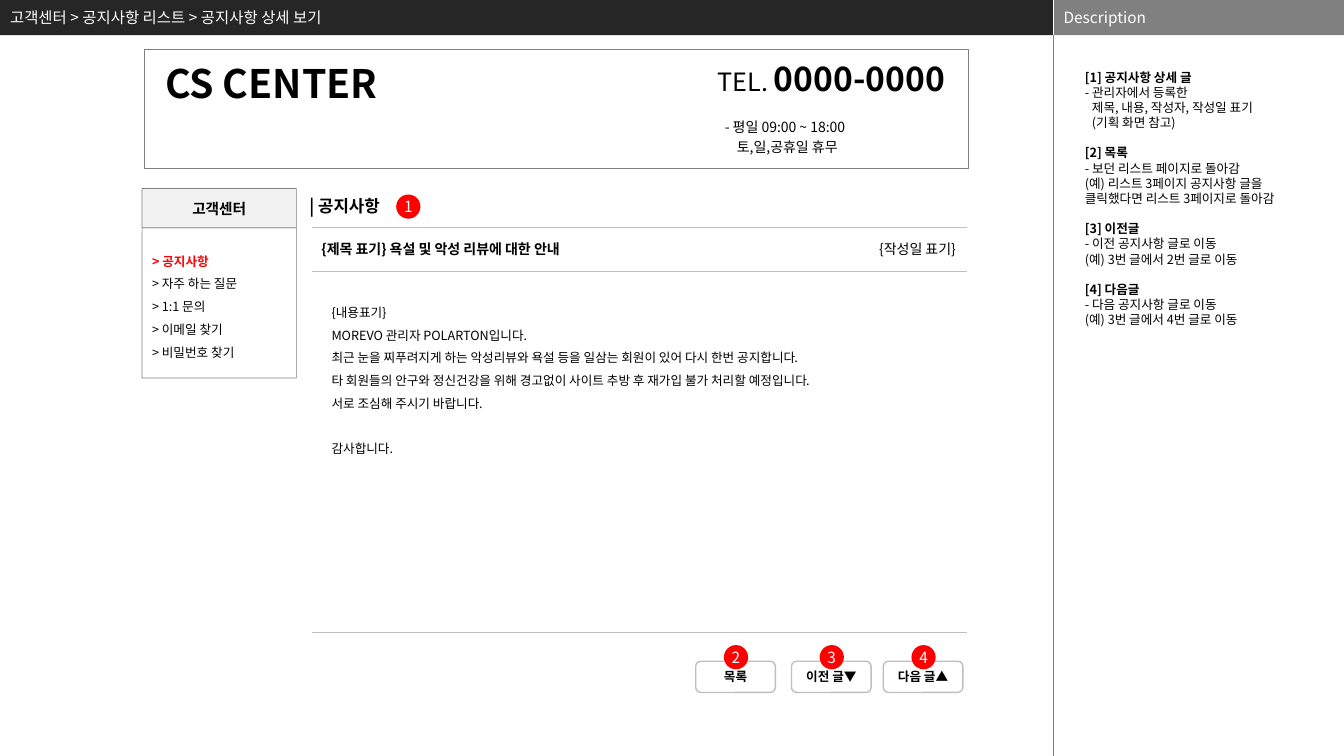
import pptx
import pptx.dml.color
import pptx.enum.shapes
import pptx.enum.text
import pptx.oxml
import pptx.oxml.ns
import pptx.util

Inches = pptx.util.Inches
Pt = pptx.util.Pt
RGB = pptx.dml.color.RGBColor
SHAPE = pptx.enum.shapes.MSO_SHAPE
ALIGN = pptx.enum.text.PP_ALIGN
ANCHOR = pptx.enum.text.MSO_ANCHOR
qn = pptx.oxml.ns.qn

BLACK = RGB(0x00, 0x00, 0x00)
WHITE = RGB(0xFF, 0xFF, 0xFF)
RED = RGB(0xFF, 0x00, 0x00)
DARK = RGB(0x26, 0x26, 0x26)
GRAY = RGB(0x80, 0x80, 0x80)
RULE = RGB(0xBF, 0xBF, 0xBF)
PALE = RGB(0xF2, 0xF2, 0xF2)
FONT = "Noto Sans CJK KR"


class Screen:
    def __init__(self, prs):
        self.slide = prs.slides.add_slide(prs.slide_layouts[5])
        self.shapes = self.slide.shapes

    def style(self, p, size, color=BLACK, bold=False, indent=0, before=0, spacing=None, align=ALIGN.LEFT):
        p.alignment = align
        if before:
            p.space_before = Pt(before)
        if spacing:
            p.line_spacing = spacing
        p.font.name, p.font.size, p.font.bold = FONT, Pt(size), bold
        p.font.color.rgb = color
        pPr = p._p.get_or_add_pPr()
        if indent:
            pPr.set("marL", str(Inches(indent)))
            pPr.set("indent", "0")
        ea = pptx.oxml.parse_xml(f'<a:ea {pptx.oxml.ns.nsdecls("a")} typeface="{FONT}"/>')
        pPr.find(qn("a:defRPr")).find(qn("a:latin")).addnext(ea)

    def fill_text(self, sp, lines, size, anchor=ANCHOR.TOP, wrap=True, inset=(0.1, 0.05), **common):
        tf = sp.text_frame
        tf.word_wrap = wrap
        tf.vertical_anchor = anchor
        tf.margin_left = tf.margin_right = Inches(inset[0])
        tf.margin_top = tf.margin_bottom = Inches(inset[1])
        for i, line in enumerate(lines):
            text, own = (line, {}) if isinstance(line, str) else line
            p = tf.add_paragraph() if i else tf.paragraphs[0]
            p.add_run().text = text
            self.style(p, **{"size": size, **common, **own})
        return tf

    def text(self, box, lines, size, **kw):
        sp = self.shapes.add_textbox(*map(Inches, box))
        return self.fill_text(sp, lines, size, **kw)

    def title(self, box, text, size, **kw):
        sp = self.shapes.title
        sp.left, sp.top, sp.width, sp.height = map(Inches, box)
        tree = sp.element.getparent()
        tree.append(sp.element)
        self.fill_text(sp, [text], size, **kw)

    def shape(self, kind, box, fill=None, line=None, width=0.5, adj=None):
        sp = self.shapes.add_shape(kind, *map(Inches, box))
        sp.shadow.inherit = False
        if adj is not None:
            sp.adjustments[0] = adj
        if fill is None:
            sp.fill.background()
        else:
            sp.fill.solid()
            sp.fill.fore_color.rgb = fill
        if line is None:
            sp.line.fill.background()
        else:
            sp.line.color.rgb = line
            sp.line.width = Pt(width)
        return sp

    def line(self, x1, y1, x2, y2, color=RULE, width=0.5):
        cn = self.shapes.add_connector(
            pptx.enum.shapes.MSO_CONNECTOR.STRAIGHT, *map(Inches, (x1, y1, x2, y2)))
        cn.line.color.rgb = color
        cn.line.width = Pt(width)
        cn._element.spPr.append(pptx.oxml.parse_xml(f'<a:effectLst {pptx.oxml.ns.nsdecls("a")}/>'))

    def badge(self, x, y, number):
        sp = self.shape(SHAPE.OVAL, (x, y, 0.24, 0.24), RED)
        self.fill_text(sp, [str(number)], 11, ANCHOR.MIDDLE, wrap=False, inset=(0, 0),
                       color=WHITE, align=ALIGN.CENTER)

    def button(self, x, label, number):
        sp = self.shape(SHAPE.ROUNDED_RECTANGLE, (x, 6.56, 0.79, 0.31), WHITE, RULE, 1)
        self.fill_text(sp, [label], 9, ANCHOR.MIDDLE, inset=(0.04, 0.05), bold=True, align=ALIGN.CENTER)
        self.badge(x + 0.28, 6.4, number)


def main():
    prs = pptx.Presentation()
    prs.slide_width, prs.slide_height = Inches(13.33), Inches(7.5)
    s = Screen(prs)

    s.shape(SHAPE.RECTANGLE, (0, 0, 10.45, 0.35), DARK)
    s.shape(SHAPE.RECTANGLE, (10.45, 0, 2.88, 0.35), GRAY)
    s.line(10.45, 0, 10.45, 0.35, WHITE, 0.25)
    s.line(10.45, 0.35, 10.45, 7.5, GRAY, 0.25)
    s.title((0, 0, 10.16, 0.35), "고객센터 > 공지사항 리스트 > 공지사항 상세 보기", 11,
            anchor=ANCHOR.MIDDLE, color=WHITE)
    s.text((10.45, 0, 2.88, 0.34), ["Description"], 11, anchor=ANCHOR.MIDDLE, color=WHITE)

    head, gap_head, inner = {"bold": True}, {"bold": True, "before": 10.8}, {"indent": 0.07}
    s.text((10.72, 0.69, 2.34, 6.81), [
        ("[1] 공지사항 상세 글", head),
        "- 관리자에서 등록한",
        ("제목, 내용, 작성자, 작성일 표기", inner),
        ("(기획 화면 참고)", inner),
        ("[2] 목록", gap_head),
        "- 보던 리스트 페이지로 돌아감",
        "(예) 리스트 3페이지 공지사항 글을 클릭했다면 리스트 3페이지로 돌아감",
        ("[3] 이전글", gap_head),
        "- 이전 공지사항 글로 이동",
        "(예) 3번 글에서 2번 글로 이동",
        ("[4] 다음글", gap_head),
        "- 다음 공지사항 글로 이동",
        "(예) 3번 글에서 4번 글로 이동",
    ], 9, inset=(0.04, 0))

    s.shape(SHAPE.RECTANGLE, (1.43, 0.49, 8.18, 1.18), line=GRAY, width=0.75)
    s.text((1.54, 0.54, 3.17, 0.57), ["CS CENTER"], 28, bold=True)
    tf = s.text((7.02, 0.53, 2.64, 1.08), [
        ("TEL. ", {"size": 18}),
        ("- 평일 09:00 ~ 18:00", {"indent": 0.07, "before": 14}),
        ("토,일,공휴일 휴무", {"indent": 0.19, "before": 2.5}),
    ], 10)
    r = tf.paragraphs[0].add_run()
    r.text = "0000-0000"
    r.font.size, r.font.bold = Pt(24), True

    menu = s.shape(SHAPE.ROUNDED_RECTANGLE, (1.41, 2.26, 1.53, 1.49), line=GRAY, adj=0.001)
    s.fill_text(menu, [
        ("> 공지사항", {"color": RED, "bold": True}),
        "> 자주 하는 질문",
        "> 1:1 문의",
        "> 이메일 찾기",
        "> 비밀번호 찾기",
    ], 9, ANCHOR.MIDDLE, spacing=1.5)
    menu_head = s.shape(SHAPE.ROUNDED_RECTANGLE, (1.41, 1.87, 1.53, 0.39), PALE, GRAY, adj=0.001)
    s.fill_text(menu_head, ["고객센터"], 10.5, ANCHOR.MIDDLE, bold=True, align=ALIGN.CENTER)

    s.text((2.97, 1.89, 1.57, 0.3), ["| 공지사항"], 12, bold=True)
    s.badge(3.93, 1.93, 1)
    for y in (2.26, 2.69, 6.27):
        s.line(3.09, y, 9.59, y)
    s.text((3.09, 2.34, 2.89, 0.27), ["{제목 표기} 욕설 및 악성 리뷰에 대한 안내"], 10, bold=True)
    s.text((8.57, 2.34, 1.06, 0.27), ["{작성일 표기}"], 10, wrap=False, align=ALIGN.CENTER)
    s.text((3.19, 2.9, 6.26, 1.66), [
        "{내용표기}",
        "MOREVO 관리자 POLARTON입니다.",
        "최근 눈을 찌푸려지게 하는 악성리뷰와 욕설 등을 일삼는 회원이 있어 다시 한번 공지합니다.",
        "타 회원들의 안구와 정신건강을 위해 경고없이 사이트 추방 후 재가입 불가 처리할 예정입니다.",
        "서로 조심해 주시기 바랍니다.",
        ("감사합니다.", {"before": 16.2}),
    ], 9, spacing=1.5)

    for number, (x, label) in enumerate(((6.9, "목록"), (7.85, "이전 글▼"), (8.76, "다음 글▲")), 2):
        s.button(x, label, number)

    prs.save("out.pptx")


if __name__ == "__main__":
    main()
